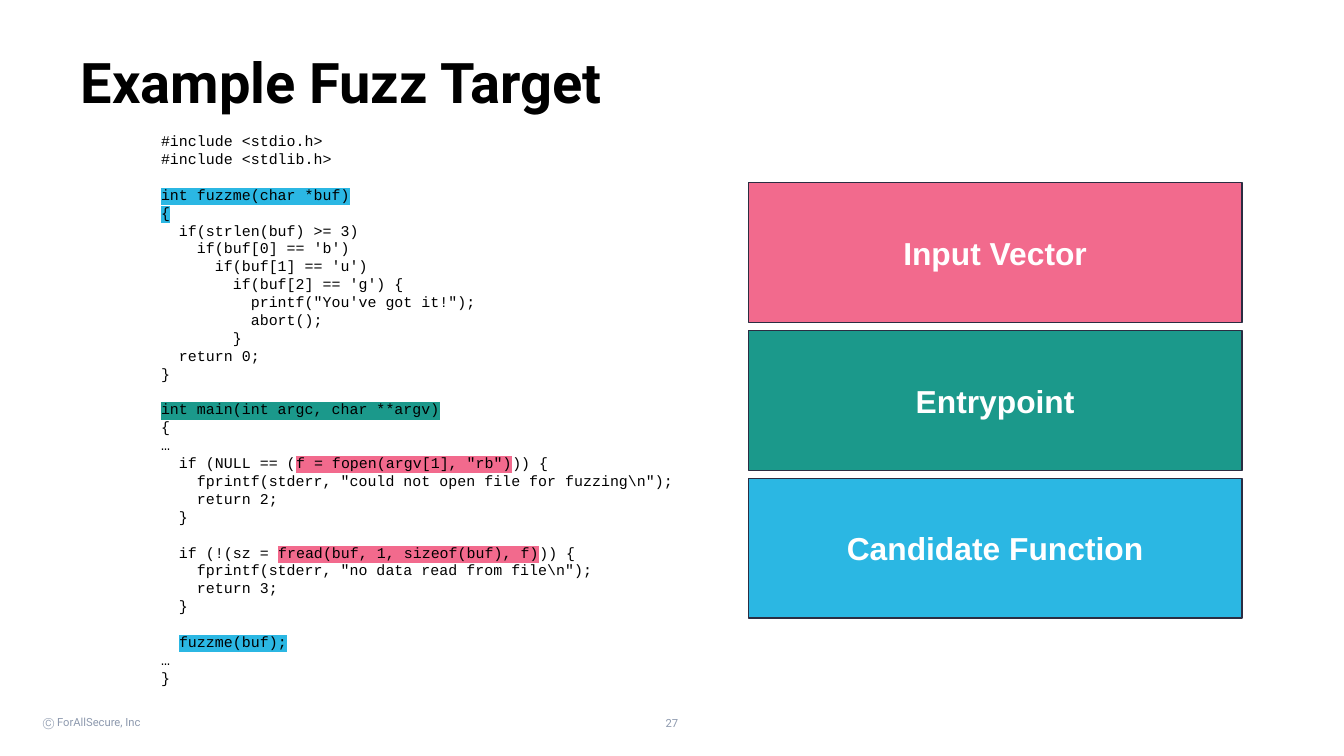
from dataclasses import dataclass
from typing import Any, Optional

import lxml.etree
import pptx
import pptx.dml.color
import pptx.enum.shapes
import pptx.enum.text
import pptx.oxml.ns
import pptx.util

Inches = pptx.util.Inches
Pt = pptx.util.Pt
RGB = pptx.dml.color.RGBColor
ALIGN = pptx.enum.text.PP_ALIGN
ANCHOR = pptx.enum.text.MSO_ANCHOR
qn = pptx.oxml.ns.qn


@dataclass(frozen=True)
class Theme:
    pink: str = "F26A8D"
    green: str = "1B998B"
    blue: str = "2BB7E3"
    outline: str = "2B2D42"
    text: str = "000000"
    light: str = "FFFFFF"
    muted: str = "8D99AE"
    title_size: float = 30
    label_size: float = 17
    code_size: float = 8
    footer_size: float = 6


@dataclass(frozen=True)
class Style:
    font: str
    size: float
    color: str
    bold: bool = False


@dataclass(frozen=True)
class Span:
    text: str
    mark: Optional[str] = None


@dataclass(frozen=True)
class Legend:
    label: str
    color: str


@dataclass(frozen=True)
class Footer:
    text: str
    left: float
    top: float
    align: Any
    anchor: Any


T = Theme()
TITLE = Style("Roboto", T.title_size, T.text, True)
LABEL = Style("Arial", T.label_size, T.light, True)
CODE = Style("Courier New", T.code_size, T.text)
FOOTER = Style("Roboto", T.footer_size, T.muted)
BLANK_LINE = 9.6

LEGENDS = [
    Legend("Input Vector", T.pink),
    Legend("Entrypoint", T.green),
    Legend("Candidate Function", T.blue),
]
FOOTERS = [
    Footer("27", 3.87, 5.29, ALIGN.CENTER, ANCHOR.TOP),
    Footer("Ⓒ ForAllSecure, Inc", 0.25, 5.26, ALIGN.LEFT, ANCHOR.MIDDLE),
]

# Blocks of code lines; a blank line's height separates the blocks
CODE_BLOCKS = [
    [
        [Span("#include <stdio.h>")],
        [Span("#include <stdlib.h>")],
    ],
    [
        [Span("int fuzzme(char *buf)", T.blue)],
        [Span("{", T.blue)],
        [Span("  if(strlen(buf) >= 3)")],
        [Span("    if(buf[0] == 'b')")],
        [Span("      if(buf[1] == 'u')")],
        [Span("        if(buf[2] == 'g') {")],
        [Span("          printf(\"You've got it!\");")],
        [Span("          abort();")],
        [Span("        }")],
        [Span("  return 0;")],
        [Span("}")],
    ],
    [
        [Span("int main(int argc, char **argv)", T.green)],
        [Span("{")],
        [Span("…")],
        [Span("  if (NULL == ("), Span('f = fopen(argv[1], "rb")', T.pink), Span(")) {")],
        [Span(r'    fprintf(stderr, "could not open file for fuzzing\n");')],
        [Span("    return 2;")],
        [Span("  }")],
    ],
    [
        [Span("  if (!(sz = "), Span("fread(buf, 1, sizeof(buf), f)", T.pink), Span(")) {")],
        [Span(r'    fprintf(stderr, "no data read from file\n");')],
        [Span("    return 3;")],
        [Span("  }")],
    ],
    [
        [Span("  "), Span("fuzzme(buf);", T.blue)],
        [Span("…")],
        [Span("}")],
    ],
]


def set_attrs(target: Any, values: dict[str, Any]) -> None:
    for name, value in values.items():
        setattr(target, name, value)


def set_frame(tf: Any, anchor: Any, side: float = 0.1, edge: float = 0.1) -> None:
    set_attrs(tf, {
        "word_wrap": True, "auto_size": pptx.enum.text.MSO_AUTO_SIZE.NONE,
        "vertical_anchor": anchor,
        "margin_left": Inches(side), "margin_right": Inches(side),
        "margin_top": Inches(edge), "margin_bottom": Inches(edge),
    })


def add_run(p: Any, span: Span, style: Style) -> None:
    r = p.add_run()
    r.text = span.text
    set_attrs(r.font, {"name": style.font, "size": Pt(style.size), "bold": style.bold})
    r.font.color.rgb = RGB.from_string(style.color)
    if span.mark:
        # A highlight belongs directly before the font name
        highlight = lxml.etree.Element(qn("a:highlight"))
        lxml.etree.SubElement(highlight, qn("a:srgbClr"), val=span.mark)
        r.font._element.find(qn("a:latin")).addprevious(highlight)


def add_title(s: Any, text: str) -> None:
    sp = s.shapes.title
    set_attrs(sp, {"left": Inches(0.5), "top": Inches(0.25),
                   "width": Inches(9), "height": Inches(0.88)})
    set_frame(sp.text_frame, ANCHOR.TOP)
    p = sp.text_frame.paragraphs[0]
    p.alignment = ALIGN.LEFT
    add_run(p, Span(text), TITLE)


def add_footer(s: Any, footer: Footer) -> None:
    sp = s.shapes.add_textbox(Inches(footer.left), Inches(footer.top), Inches(2.26), Inches(0.23))
    set_frame(sp.text_frame, footer.anchor, 0.07, 0.04)
    p = sp.text_frame.paragraphs[0]
    p.alignment = footer.align
    add_run(p, Span(footer.text), FOOTER)


def add_legend(s: Any, legend: Legend, top: float) -> None:
    sp = s.shapes.add_shape(pptx.enum.shapes.MSO_SHAPE.FLOWCHART_PROCESS,
                            Inches(5.57), Inches(top), Inches(3.67), Inches(1.04))
    sp.shadow.inherit = False
    sp.fill.solid()
    sp.fill.fore_color.rgb = RGB.from_string(legend.color)
    sp.line.color.rgb = RGB.from_string(T.outline)
    sp.line.width = Pt(0.75)
    set_frame(sp.text_frame, ANCHOR.MIDDLE)
    p = sp.text_frame.paragraphs[0]
    p.alignment = ALIGN.CENTER
    add_run(p, Span(legend.label), LABEL)


def add_code(s: Any, blocks: list[list[list[Span]]]) -> None:
    tf = s.shapes.add_textbox(Inches(1.1), Inches(0.88), Inches(4.14), Inches(4.38)).text_frame
    set_frame(tf, ANCHOR.TOP)
    for b, block in enumerate(blocks):
        for i, line in enumerate(block):
            p = tf.add_paragraph() if b or i else tf.paragraphs[0]
            p.line_spacing = 1.0
            if b and i == 0:
                p.space_before = Pt(BLANK_LINE)
            for span in line:
                add_run(p, span, CODE)


def main() -> None:
    # Widescreen 16:9 page
    prs = pptx.Presentation()
    width = Inches(10)
    set_attrs(prs, {"slide_width": width, "slide_height": width * 9 // 16})
    s = prs.slides.add_slide(prs.slide_layouts[5])

    # Title and footer
    add_title(s, "Example Fuzz Target")
    for footer in FOOTERS:
        add_footer(s, footer)

    # Colour legend, then the code it explains
    for i, legend in enumerate(LEGENDS):
        add_legend(s, legend, 1.36 + 1.1 * i)
    add_code(s, CODE_BLOCKS)

    prs.save("out.pptx")


if __name__ == "__main__":
    main()
